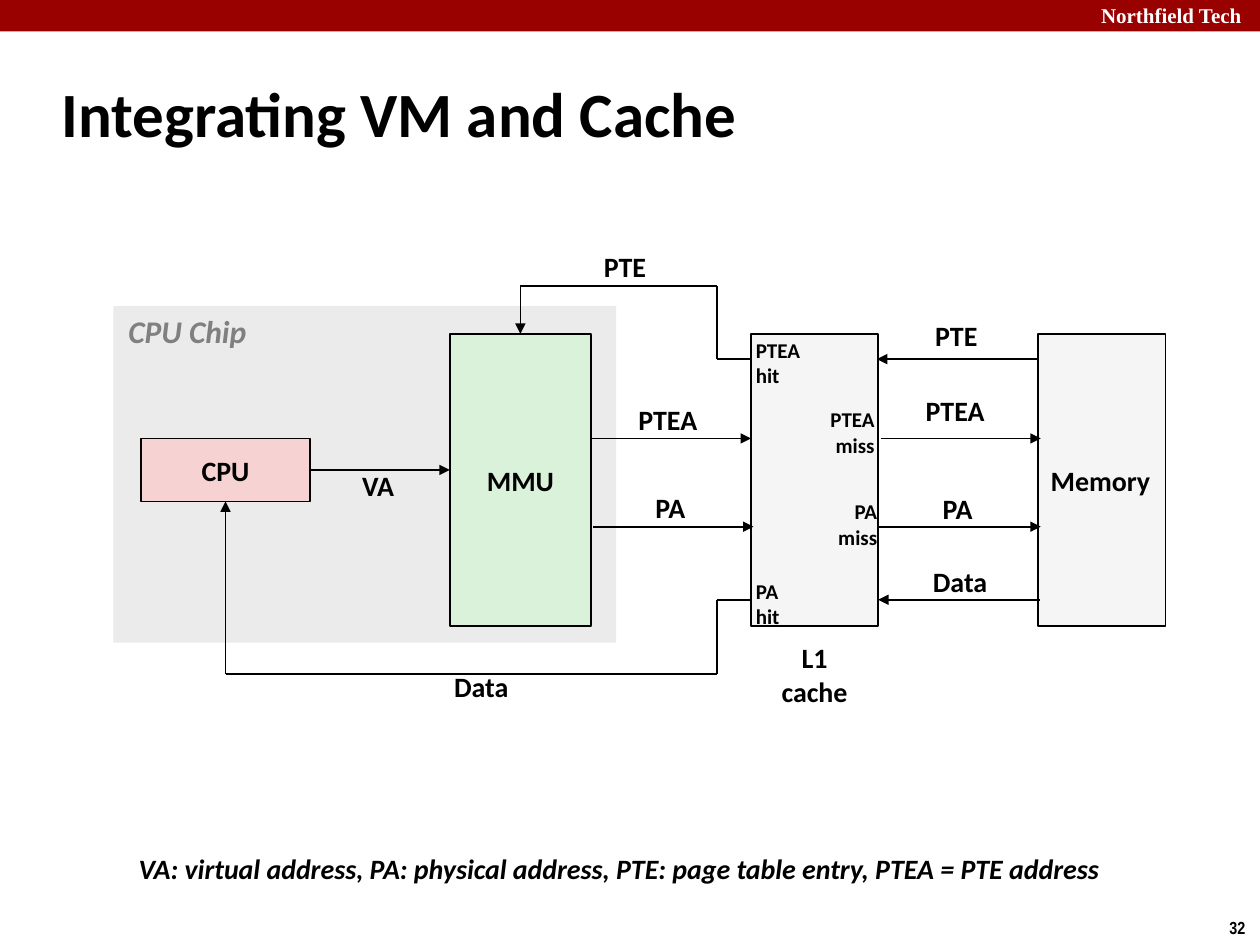
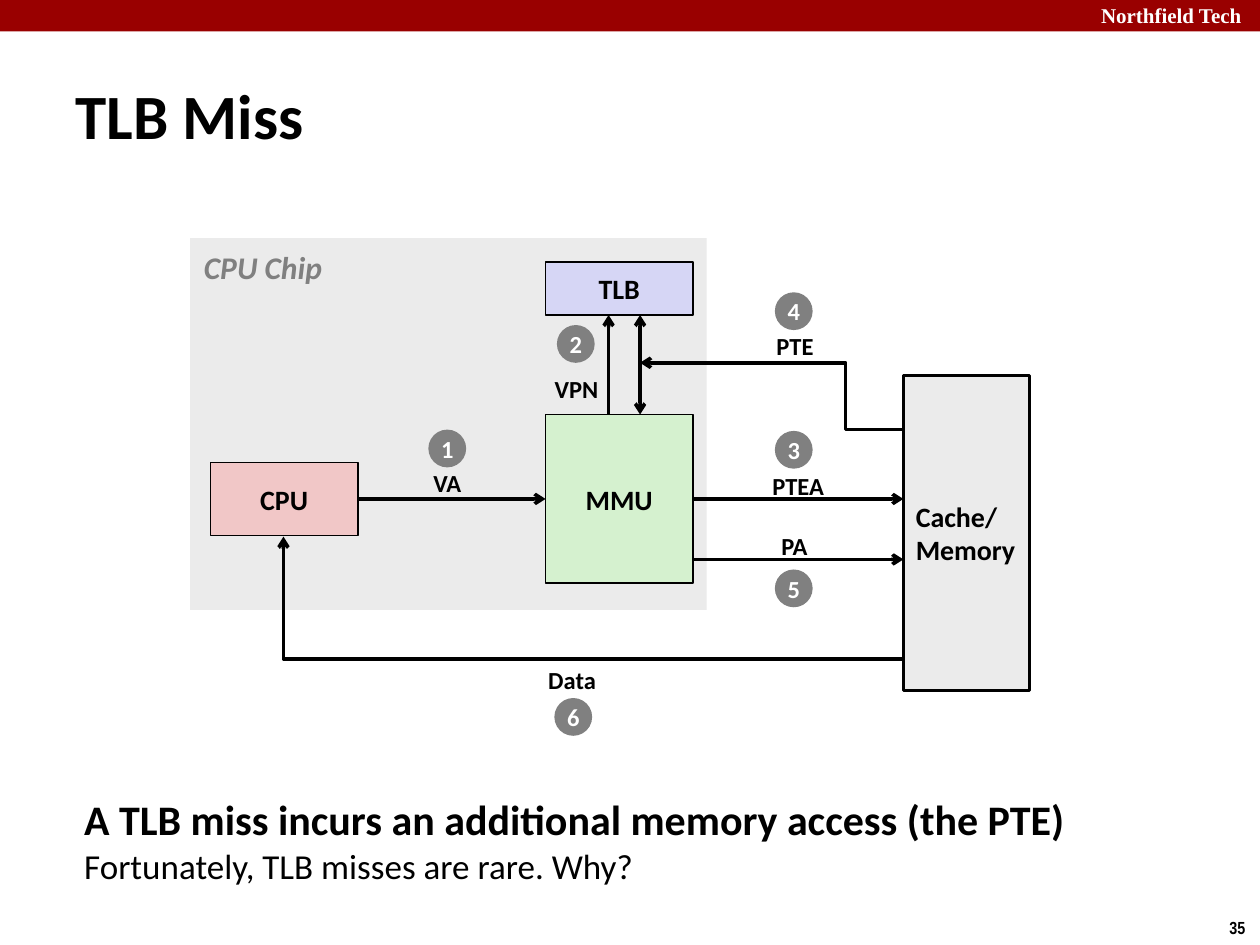
from dataclasses import dataclass, field
from itertools import pairwise
from typing import NamedTuple

from lxml import etree
from pptx import Presentation
from pptx.dml.color import RGBColor
from pptx.enum.shapes import MSO_CONNECTOR, MSO_SHAPE
from pptx.enum.text import MSO_ANCHOR, MSO_AUTO_SIZE, PP_ALIGN
from pptx.oxml.ns import qn
from pptx.util import Inches, Pt

LEFT, CENTER, RIGHT = PP_ALIGN.LEFT, PP_ALIGN.CENTER, PP_ALIGN.RIGHT
TOP, MIDDLE = MSO_ANCHOR.TOP, MSO_ANCHOR.MIDDLE
RECT, OVAL = MSO_SHAPE.RECTANGLE, MSO_SHAPE.OVAL
STRAIGHT, ELBOW = MSO_CONNECTOR.STRAIGHT, MSO_CONNECTOR.ELBOW
FIT_SHAPE, FIT_NONE = MSO_AUTO_SIZE.SHAPE_TO_FIT_TEXT, MSO_AUTO_SIZE.NONE


@dataclass(frozen=True)
class Theme:
    font: str = "Calibri"
    header_font: str = "Times New Roman"
    number_font: str = "Arial Narrow"
    black: str = "000000"
    white: str = "FFFFFF"
    grey: str = "808080"
    band: str = "990000"
    chip: str = "EBEBEB"
    title: int = 36
    lead: int = 24
    body: int = 20
    chip_size: int = 18
    node: int = 16
    step: int = 14
    small: int = 12
    number: int = 10


T = Theme()


class Box(NamedTuple):
    x: float
    y: float
    w: float
    h: float

    def sides(self) -> list[tuple[float, float]]:
        """Middles of the top, left, bottom and right sides."""
        cx, cy = self.x + self.w / 2, self.y + self.h / 2
        return [(cx, self.y), (self.x, cy), (cx, self.y + self.h), (self.x + self.w, cy)]


class Node(NamedTuple):
    text: str
    box: Box
    fill: str
    align: PP_ALIGN = CENTER
    weight: float = 1


class Label(NamedTuple):
    text: str
    box: Box
    size: int = T.node
    align: PP_ALIGN = CENTER
    spacing: float = 1.0
    inset: float = 0.1
    color: str = T.black
    italic: bool = False


class Route(NamedTuple):
    points: list[tuple[float, float]]
    both_ends: bool = False


class Bend(NamedTuple):
    start: tuple[float, float]
    end: tuple[float, float]
    turn: float | None = None  # share of the width before the turn; None for one corner


class Badge(NamedTuple):
    number: int
    x: float
    y: float


@dataclass
class Diagram:
    title: str
    title_box: Box
    page: int
    chip: Box
    nodes: list[Node]
    routes: list[Route]
    labels: list[Label]
    weight: float
    arrow: str
    bends: list[Bend] = field(default_factory=list)
    badges: list[Badge] = field(default_factory=list)


# Text and shapes
def add_run(p, text: str, *, size: int, font: str = T.font, color: str = T.black,
            bold: bool = True, italic: bool = False) -> None:
    r = p.add_run()
    r.text = text
    r.font.name, r.font.size = font, Pt(size)
    r.font.bold, r.font.italic = bold, italic
    r.font.color.rgb = RGBColor.from_string(color)


def write(sp, text: str, *, align: PP_ALIGN = LEFT, anchor: MSO_ANCHOR = MIDDLE,
          wrap: bool = False, fit: bool = False, inset: float = 0.1,
          spacing: float = 1.0, **run_format) -> None:
    tf = sp.text_frame
    tf.word_wrap, tf.vertical_anchor = wrap, anchor
    tf.auto_size = FIT_SHAPE if fit else FIT_NONE
    tf.margin_left = tf.margin_right = Inches(inset)
    tf.margin_top = tf.margin_bottom = Inches(inset / 2)
    for i, line in enumerate(text.split("\n")):
        p = tf.add_paragraph() if i else tf.paragraphs[0]
        p.alignment = align
        if spacing != 1:
            p.line_spacing = spacing
        add_run(p, line, **run_format)


def add_box(s, box: Box):
    return s.shapes.add_textbox(*map(Inches, box))


def add_filled(s, box: Box, fill: str, kind: MSO_SHAPE = RECT, weight: float = 0):
    sp = s.shapes.add_shape(kind, *map(Inches, box))
    sp.shadow.inherit = False
    sp.fill.solid()
    sp.fill.fore_color.rgb = RGBColor.from_string(fill)
    if weight:
        sp.line.color.rgb = RGBColor.from_string(T.black)
        sp.line.width = Pt(weight)
    else:
        sp.line.fill.background()
    return sp


def add_label(s, label: Label) -> None:
    write(add_box(s, label.box), label.text, fit=True, **{
        k: v for k, v in label._asdict().items() if k not in ("text", "box")})


# Lines and arrows
def add_line(s, start, end, d: Diagram, *, kind=STRAIGHT, head=False, tail=False):
    cx = s.shapes.add_connector(kind, *map(Inches, (*start, *end)))
    cx.line.color.rgb = RGBColor.from_string(T.black)
    cx.line.width = Pt(d.weight)
    ln = cx.line._get_or_add_ln()
    for tag, wanted in (("a:headEnd", head), ("a:tailEnd", tail)):
        if wanted:
            etree.SubElement(ln, qn(tag), type=d.arrow)
    etree.SubElement(cx._element.spPr, qn("a:effectLst"))
    return cx


def find_side(point, shapes):
    for node, sp in shapes:
        for i, (x, y) in enumerate(node.box.sides()):
            if abs(x - point[0]) < 0.01 and abs(y - point[1]) < 0.01:
                return sp, i
    return None


def add_route(s, route: Route, d: Diagram, shapes) -> None:
    for start, end in pairwise(route.points):
        cx = add_line(s, start, end, d, head=route.both_ends,
                      tail=end == route.points[-1])
        for point, connect in ((start, cx.begin_connect), (end, cx.end_connect)):
            if side := find_side(point, shapes):
                connect(*side)


def add_bend(s, bend: Bend, d: Diagram) -> None:
    cx = add_line(s, bend.start, bend.end, d, kind=ELBOW, tail=True)
    geom = cx._element.spPr.find(qn("a:prstGeom"))
    if bend.turn is None:
        geom.set("prst", "bentConnector2")
    else:
        etree.SubElement(geom.find(qn("a:avLst")), qn("a:gd"), name="adj1",
                         fmla=f"val {round(bend.turn * 100000)}")


# Whole slide
def add_diagram(prs, d: Diagram):
    s = prs.slides.add_slide(prs.slide_layouts[6])
    add_filled(s, Box(0, 0, 10, 0.25), T.band)
    write(add_box(s, Box(8.64, -0.03, 1.43, 0.3)), "Northfield Tech", anchor=TOP,
          wrap=True, size=T.small, font=T.header_font, color=T.white)
    write(add_box(s, Box(9.66, 7.23, 0.34, 0.27)), str(d.page), anchor=TOP, fit=True,
          size=T.number, font=T.number_font)
    write(add_box(s, d.title_box), d.title, wrap=True, size=T.title)
    add_filled(s, d.chip, T.chip)
    shapes = []
    for node in d.nodes:
        sp = add_filled(s, node.box, node.fill, weight=node.weight)
        if node.text:
            write(sp, node.text, align=node.align, size=T.node)
        shapes.append((node, sp))
    for route in d.routes:
        add_route(s, route, d, shapes)
    for bend in d.bends:
        add_bend(s, bend, d)
    for label in d.labels:
        add_label(s, label)
    for badge in d.badges:
        sp = add_filled(s, Box(badge.x, badge.y, 0.3, 0.3), T.grey, OVAL)
        write(sp, str(badge.number), align=CENTER, size=T.step, color=T.white)
    return s


def chip_label(x: float, y: float) -> Label:
    return Label("CPU Chip", Box(x, y, 1.21, 0.4), T.chip_size, LEFT,
                 color=T.grey, italic=True)


def tight(text: str, x: float, y: float, w: float, **extra) -> Label:
    return Label(text, Box(x, y, w, 0.29), spacing=0.85, inset=0.07, **extra)


def step(text: str, x: float, y: float, w: float) -> Label:
    return Label(text, Box(x, y, w, 0.33), T.step)


CACHE_DIAGRAM = Diagram(
    "Integrating VM and Cache", Box(0.39, 0.48, 8.3, 0.83), 32,
    chip=Box(0.9, 2.43, 3.99, 2.67), weight=1, arrow="triangle",
    nodes=[
        Node("CPU", Box(1.12, 3.48, 1.34, 0.5), "F6D2D2"),
        Node("MMU", Box(3.57, 2.65, 1.12, 2.32), "DBF2DA"),
        Node("", Box(5.96, 2.65, 1.01, 2.32), "F5F5F5"),
        Node("Memory", Box(8.24, 2.65, 1.01, 2.32), "F5F5F5", LEFT),
    ],
    routes=[
        Route([(2.46, 3.73), (3.57, 3.73)]),
        Route([(4.69, 3.48), (5.96, 3.48)]),
        Route([(4.71, 4.18), (5.98, 4.18)]),
        Route([(6.99, 3.48), (8.26, 3.48)]),
        Route([(6.97, 4.18), (8.26, 4.18)]),
        Route([(8.24, 2.85), (6.96, 2.85)]),
        Route([(8.25, 4.76), (6.97, 4.76)]),
        Route([(5.96, 2.85), (5.69, 2.85), (5.69, 2.27), (4.13, 2.27), (4.13, 2.65)]),
        Route([(5.96, 4.76), (5.69, 4.76), (5.69, 5.35), (1.79, 5.35), (1.79, 3.98)]),
    ],
    labels=[
        chip_label(0.92, 2.43),
        tight("VA", 2.79, 3.73, 0.42),
        tight("PTEA", 4.99, 3.2, 0.62),
        tight("PA", 5.13, 3.9, 0.38),
        tight("PTEA", 7.27, 3.13, 0.62),
        Label("PTE", Box(4.69, 1.93, 0.54, 0.37)),
        Label("PTE", Box(7.32, 2.48, 0.54, 0.37)),
        Label("PA", Box(7.38, 3.85, 0.44, 0.37)),
        Label("Data", Box(7.3, 4.43, 0.64, 0.37)),
        Label("Data", Box(3.5, 5.26, 0.64, 0.37)),
        Label("L1\ncache", Box(6.1, 5.03, 0.73, 0.64)),
        Label("PTEA\nhit", Box(5.9, 2.63, 0.55, 0.5), T.small, LEFT),
        Label("PA\nhit", Box(5.9, 4.54, 0.39, 0.5), T.small, LEFT),
        Label("PTEA\nmiss", Box(6.49, 3.18, 0.55, 0.5), T.small, RIGHT),
        Label("PA\nmiss", Box(6.54, 3.91, 0.52, 0.5), T.small, RIGHT),
        tight("VA: virtual address, PA: physical address, PTE: page table entry, "
              "PTEA = PTE address", 1.03, 6.77, 7.92, align=LEFT, italic=True),
    ])

TLB_DIAGRAM = Diagram(
    "TLB Miss", Box(0.5, 0.48, 9.5, 0.86), 35,
    chip=Box(1.51, 1.89, 4.1, 2.95), weight=2, arrow="arrow",
    nodes=[
        Node("MMU", Box(4.33, 3.29, 1.17, 1.34), "D5F1CF"),
        Node("Cache/\nMemory", Box(7.17, 2.98, 1, 2.5), "EBEBEB", LEFT, 1.5),
        Node("CPU", Box(1.67, 3.67, 1.17, 0.58), "F1C7C7"),
        Node("TLB", Box(4.33, 2.08, 1.17, 0.42), "D6D6F5"),
    ],
    routes=[
        Route([(2.84, 3.96), (4.33, 3.96)]),
        Route([(5.5, 3.96), (7.17, 3.96)]),
        Route([(5.5, 4.44), (7.17, 4.44)]),
        Route([(4.83, 3.29), (4.83, 2.5)]),
        Route([(5.08, 2.5), (5.08, 3.29)], both_ends=True),
    ],
    bends=[Bend((7.17, 5.23), (2.25, 4.26)), Bend((7.17, 3.41), (5.08, 2.88), 0.22)],
    labels=[
        chip_label(1.52, 1.92),
        step("VA", 3.34, 3.67, 0.42),
        step("VPN", 4.3, 2.92, 0.55),
        step("PTEA", 6.03, 3.69, 0.61),
        step("PTE", 6.06, 2.58, 0.5),
        step("PA", 6.1, 4.17, 0.41),
        step("Data", 4.25, 5.23, 0.58),
    ],
    badges=[Badge(1, 3.4, 3.41), Badge(2, 4.42, 2.58), Badge(3, 6.15, 3.42),
            Badge(4, 6.15, 2.32), Badge(5, 6.15, 4.52), Badge(6, 4.4, 5.54)])


def main() -> None:
    prs = Presentation()
    prs.slide_width, prs.slide_height = Inches(10), Inches(7.5)
    add_diagram(prs, CACHE_DIAGRAM)
    s = add_diagram(prs, TLB_DIAGRAM)
    # Conclusion under the second diagram
    sp = add_box(s, Box(0.57, 6.25, 8.43, 1))
    write(sp, "A TLB miss incurs an additional memory access (the PTE)",
          anchor=TOP, wrap=True, size=T.lead)
    p = sp.text_frame.paragraphs[0]
    p.add_line_break()
    add_run(p, "Fortunately, TLB misses are rare. Why?", size=T.body, bold=False)
    prs.save("out.pptx")


if __name__ == "__main__":
    main()
